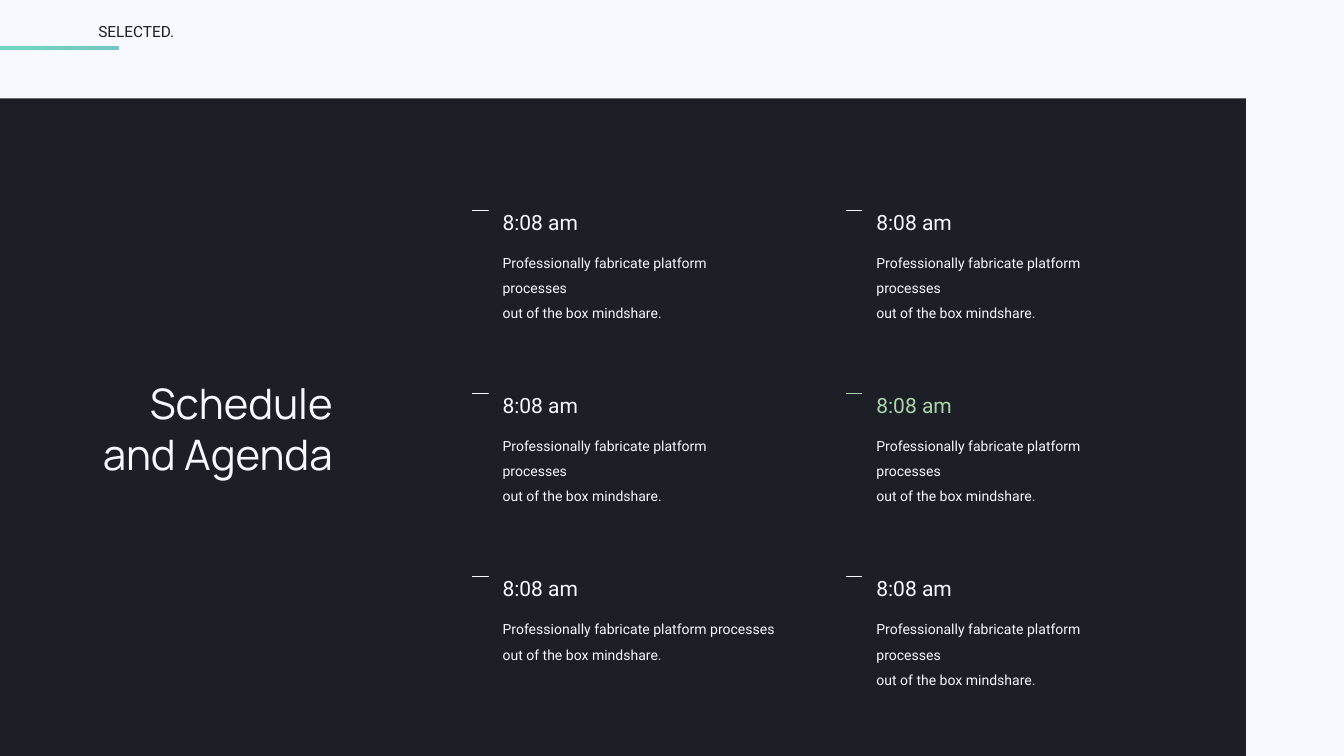
from dataclasses import dataclass

from lxml import etree
from pptx import Presentation
from pptx.dml.color import RGBColor as RGB
from pptx.enum.shapes import MSO_CONNECTOR as CONN, MSO_SHAPE as SHAPE
from pptx.enum.text import MSO_AUTO_SIZE as FIT, PP_ALIGN as ALIGN
from pptx.oxml.ns import qn
from pptx.util import Pt

COLORS = {
    "paper": "F7F9FF",
    "ink": "1C1F25",
    "accent": "ACD4AC",
    "bar_start": "72D6BE",
    "bar_end": "72C6C2",
}
COL_X, COL_STEP = 718, 534
ROW_Y, ROW_STEP = 280.7, 261.8


@dataclass
class Style:
    font: str
    size: float
    color: str = "paper"
    spacing: float | None = None
    align: ALIGN = ALIGN.LEFT


@dataclass
class Session:
    col: int
    row: int
    color: str = "paper"
    text_width: float = 387.4
    time: str = "8:08 am"
    lines: tuple[str, ...] = (
        "Professionally fabricate platform processes",
        "out of the box mindshare.",
    )


def rgb(name: str) -> RGB:
    return RGB.from_string(COLORS[name])


def add_text(s, x: float, y: float, w: float, h: float,
             lines: tuple[str, ...], style: Style, wrap: bool = False) -> None:
    tf = s.shapes.add_textbox(Pt(x), Pt(y), Pt(w), Pt(h)).text_frame
    tf.margin_left = tf.margin_top = tf.margin_right = tf.margin_bottom = 0
    tf.word_wrap = wrap
    tf.auto_size = FIT.SHAPE_TO_FIT_TEXT
    for i, line in enumerate(lines):
        p = tf.paragraphs[0] if i == 0 else tf.add_paragraph()
        p.alignment = style.align
        if style.spacing:
            p.line_spacing = style.spacing
        r = p.add_run()
        r.text = line
        r.font.name = style.font
        r.font.size = Pt(style.size)
        r.font.color.rgb = rgb(style.color)


def add_rect(s, x: float, y: float, w: float, h: float):
    sp = s.shapes.add_shape(SHAPE.RECTANGLE, Pt(x), Pt(y), Pt(w), Pt(h))
    sp.shadow.inherit = False
    sp.line.fill.background()
    return sp


def add_dash(s, x: float, y: float, length: float, color: str) -> None:
    line = s.shapes.add_connector(CONN.STRAIGHT, Pt(x), Pt(y), Pt(x + length), Pt(y))
    line.line.color.rgb = rgb(color)
    line.line.width = Pt(1)
    etree.SubElement(line._element.spPr, qn("a:effectLst"))


def add_session(s, item: Session) -> None:
    x = COL_X + item.col * COL_STEP
    y = ROW_Y + item.row * ROW_STEP
    add_text(s, x, y + 70.6, item.text_width, 65, item.lines,
             Style("Roboto", 20, spacing=1.5), wrap=True)
    add_text(s, x, y, 111, 39, (item.time,),
             Style("Roboto", 30, item.color, spacing=1.5))
    add_dash(s, x - 44, y + 19.7, 24, item.color)


def main() -> None:
    prs = Presentation()
    prs.slide_width, prs.slide_height = Pt(1920), Pt(1080)
    s = prs.slides.add_slide(prs.slide_layouts[6])
    s.background.fill.solid()
    s.background.fill.fore_color.rgb = rgb("paper")

    # Header label and gradient bar
    add_text(s, 140.4, 31, 110, 29, ("SELECTED.",), Style("Roboto", 22, "ink"))
    bar = add_rect(s, 0, 66.2, 170, 5)
    bar.fill.gradient()
    bar.fill.gradient_angle = 0
    for stop, name in zip(bar.fill.gradient_stops, ("bar_start", "bar_end")):
        stop.color.rgb = rgb(name)

    # Dark panel and title
    panel = add_rect(s, 0, 140.4, 1780, 939.6)
    panel.fill.solid()
    panel.fill.fore_color.rgb = rgb("ink")
    add_text(s, 140.4, 540, 334.8, 139.7, ("Schedule", "and Agenda"),
             Style("Manrope", 60, align=ALIGN.RIGHT))

    # Agenda grid
    sessions = [
        Session(0, 0),
        Session(0, 1),
        Session(0, 2, text_width=436.3),
        Session(1, 0),
        Session(1, 1, color="accent"),
        Session(1, 2),
    ]
    for item in sessions:
        add_session(s, item)

    prs.save("out.pptx")


if __name__ == "__main__":
    main()
